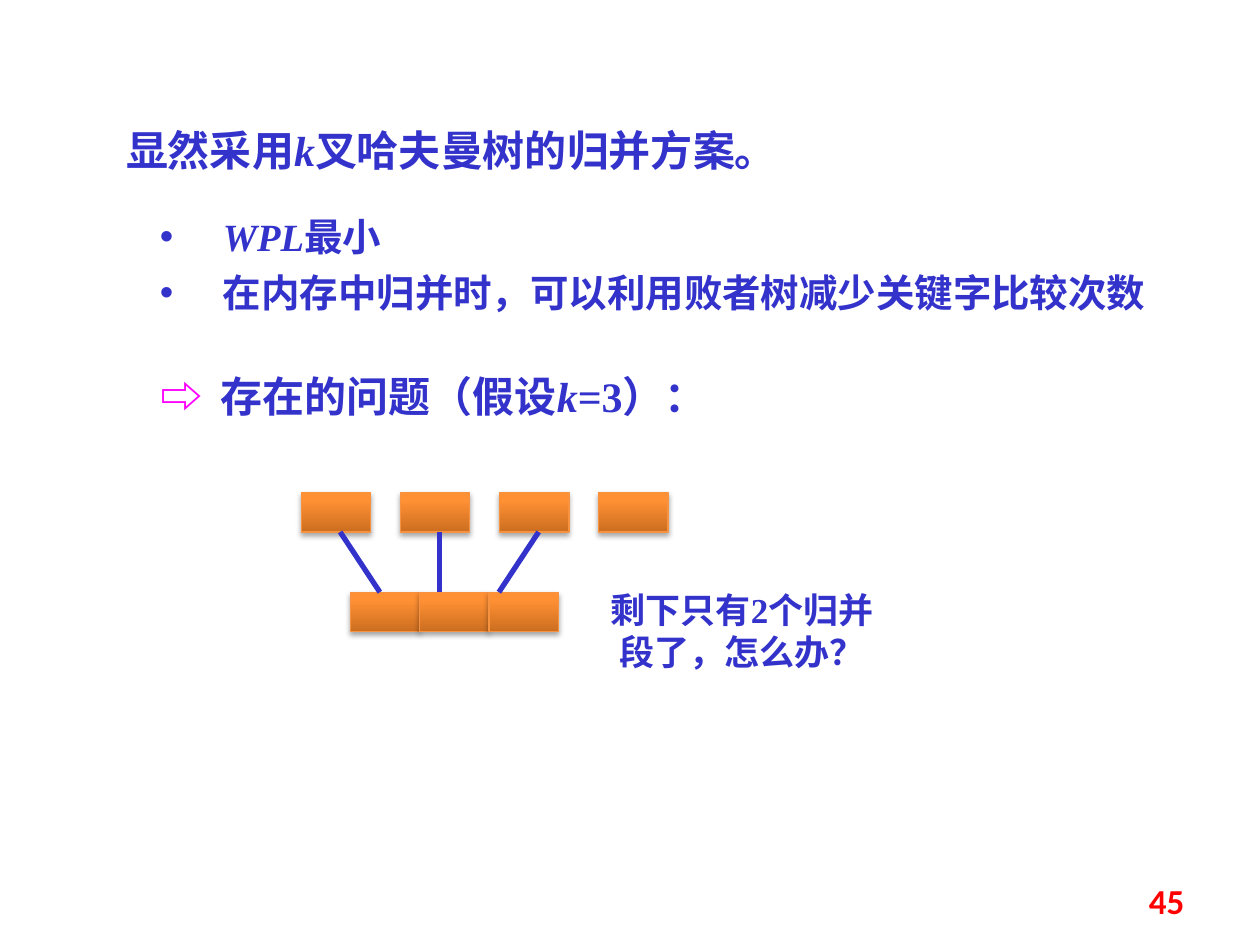
from dataclasses import dataclass

from lxml import etree
from pptx import Presentation
from pptx.dml.color import RGBColor
from pptx.enum.shapes import MSO_CONNECTOR, MSO_SHAPE
from pptx.enum.text import MSO_ANCHOR, MSO_AUTO_SIZE, PP_ALIGN
from pptx.oxml import parse_xml
from pptx.oxml.ns import nsdecls, qn
from pptx.util import Pt

STRAIGHT = MSO_CONNECTOR.STRAIGHT
RECTANGLE = MSO_SHAPE.RECTANGLE
TOP, MIDDLE = MSO_ANCHOR.TOP, MSO_ANCHOR.MIDDLE
LEFT, CENTER, RIGHT = PP_ALIGN.LEFT, PP_ALIGN.CENTER, PP_ALIGN.RIGHT
NO_AUTOFIT = MSO_AUTO_SIZE.NONE

BLUE, MAGENTA, RED, ORANGE = "3333CC", "FF00FF", "FF0000", "F69240"
SERIF = "Times New Roman"

SEGMENT_W, SEGMENT_H = 39.6, 22.5
RUNS_TOP, BUFFERS_TOP = 281.5, 338.4
RUN_LEFT, RUN_STEP, RUN_COUNT = 172.1, 56.7, 4
BUFFER_LEFT, BUFFER_COUNT = 200.2, 3

GRADIENT_STOPS = ((0, "CC6E20"), (80, "FF9034"), (100, "FF9136"))


@dataclass(frozen=True)
class Span:
    text: str
    italic: bool = False
    color: str = BLUE


@dataclass(frozen=True)
class Link:
    run_x: float
    buffer_x: float


def rgb(hex_color: str) -> RGBColor:
    return RGBColor.from_string(hex_color)


def place(shape, left: float, top: float, width: float, height: float) -> None:
    shape.left, shape.top = Pt(left), Pt(top)
    shape.width, shape.height = Pt(width), Pt(height)


def prepare_frame(shape, anchor=TOP):
    frame = shape.text_frame
    frame.word_wrap = True
    frame.auto_size = NO_AUTOFIT
    frame.vertical_anchor = anchor
    return frame


def write(paragraph, spans: list[Span], size: float, align=LEFT, font: str = SERIF) -> None:
    paragraph.alignment = align
    paragraph.space_before = Pt(0)
    for span in spans:
        run = paragraph.add_run()
        run.text = span.text
        run.font.name, run.font.size = font, Pt(size)
        run.font.bold, run.font.italic = True, span.italic
        run.font.color.rgb = rgb(span.color)


def add_bullet(paragraph, indent: float) -> None:
    props = paragraph._p.get_or_add_pPr()
    props.set("marL", str(Pt(indent)))
    props.set("indent", str(Pt(-indent)))
    etree.SubElement(props, qn("a:buChar")).set("char", "•")


def add_tab_stop(paragraph, position: float) -> None:
    tabs = etree.SubElement(paragraph._p.get_or_add_pPr(), qn("a:tabLst"))
    tab = etree.SubElement(tabs, qn("a:tab"))
    tab.set("pos", str(Pt(position)))
    tab.set("algn", "l")


def add_segment(slide, left: float, top: float) -> None:
    """Draw one merge segment with its gradient and soft shadow."""
    segment = slide.shapes.add_shape(
        RECTANGLE, Pt(left), Pt(top), Pt(SEGMENT_W), Pt(SEGMENT_H))
    stops = "".join(
        f'<a:gs pos="{position * 1000}"><a:srgbClr val="{color}"/></a:gs>'
        for position, color in GRADIENT_STOPS)
    properties = segment._element.spPr
    properties.append(parse_xml(
        f'<a:gradFill {nsdecls("a")} rotWithShape="1"><a:gsLst>{stops}</a:gsLst>'
        '<a:lin ang="16200000" scaled="0"/></a:gradFill>'))
    segment.line.color.rgb = rgb(ORANGE)
    segment.line.width = Pt(0.75)
    properties.append(parse_xml(
        f'<a:effectLst {nsdecls("a")}><a:outerShdw blurRad="{Pt(3.1)}" '
        f'dist="{Pt(1.8)}" dir="5400000" rotWithShape="0"><a:srgbClr val="000000">'
        '<a:alpha val="35000"/></a:srgbClr></a:outerShdw></a:effectLst>'))


def add_link(slide, link: Link) -> None:
    connector = slide.shapes.add_connector(
        STRAIGHT, Pt(link.run_x), Pt(RUNS_TOP + SEGMENT_H),
        Pt(link.buffer_x), Pt(BUFFERS_TOP))
    connector.line.color.rgb = rgb(BLUE)
    connector.line.width = Pt(3)
    etree.SubElement(connector._element.spPr, qn("a:effectLst"))


def add_note(slide, left, top, width, height, spans, size, align=LEFT,
             anchor=TOP, font=SERIF):
    box = slide.shapes.add_textbox(Pt(left), Pt(top), Pt(width), Pt(height))
    frame = prepare_frame(box, anchor)
    write(frame.paragraphs[0], spans, size, align, font)
    return frame


def add_conclusions(slide) -> None:
    title = slide.shapes.title
    place(title, 64.8, 67.7, 396, 36)
    write(prepare_frame(title).paragraphs[0],
          [Span("显然采用"), Span("k", True), Span("叉哈夫曼树的归并方案。")], 24)

    body = slide.placeholders[1]
    place(body, 84.2, 112.3, 590.4, 72)
    frame = prepare_frame(body)
    points = (
        [Span("WPL", True), Span("最小")],
        [Span("在内存中归并时，可以利用败者树减少关键字比较次数")],
    )
    for index, spans in enumerate(points):
        paragraph = frame.add_paragraph() if index else frame.paragraphs[0]
        add_bullet(paragraph, 36)
        paragraph.line_spacing = Pt(32)
        write(paragraph, spans, 22)
        paragraph.font.size = Pt(22)


def add_merge_diagram(slide) -> None:
    for index in range(RUN_COUNT):
        add_segment(slide, RUN_LEFT + index * RUN_STEP, RUNS_TOP)
    for index in range(BUFFER_COUNT):
        add_segment(slide, BUFFER_LEFT + index * SEGMENT_W, BUFFERS_TOP)
    middle, spread = 251.1, 34
    for side in (-1, 0, 1):
        add_link(slide, Link(middle + side * RUN_STEP, middle + side * spread))


def main() -> None:
    deck = Presentation()
    deck.slide_width, deck.slide_height = Pt(720), Pt(540)
    slide = deck.slides.add_slide(deck.slide_layouts[1])

    add_conclusions(slide)
    add_merge_diagram(slide)
    add_note(slide, 336.2, 332.6, 175.7, 55.4,
             [Span("剩下只有2个归并段了，怎么办？")], 20, CENTER)
    problem = add_note(
        slide, 78.5, 208.1, 371.5, 36,
        [Span("⇨", color=MAGENTA), Span("\t存在的问题（假设"),
         Span("k", True), Span("=3）：")], 24)
    problem.margin_left = Pt(13.2)
    add_tab_stop(problem.paragraphs[0], 34.5)
    add_note(slide, 516.2, 500.4, 167.8, 28.8, [Span("45", color=RED)], 20,
             RIGHT, MIDDLE, "Calibri")

    deck.save("out.pptx")


if __name__ == "__main__":
    main()
